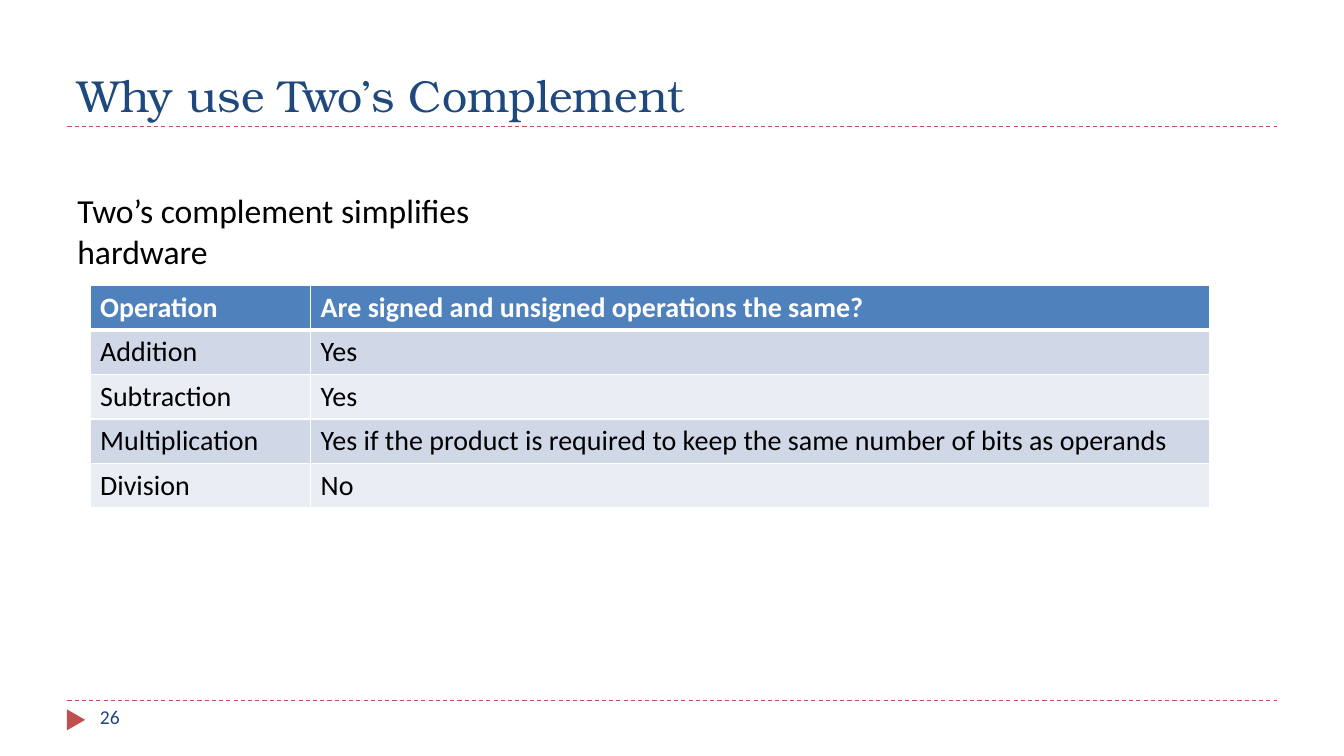
from lxml import etree
from pptx import Presentation
from pptx.dml.color import RGBColor
from pptx.enum.dml import MSO_LINE
from pptx.enum.shapes import MSO_CONNECTOR, MSO_SHAPE
from pptx.enum.text import MSO_ANCHOR, MSO_AUTO_SIZE, PP_ALIGN
from pptx.oxml.ns import qn
from pptx.util import Cm, Pt

DASH = MSO_LINE.DASH
STRAIGHT = MSO_CONNECTOR.STRAIGHT
TRIANGLE = MSO_SHAPE.ISOSCELES_TRIANGLE
BOTTOM = MSO_ANCHOR.BOTTOM
NO_FIT = MSO_AUTO_SIZE.NONE
LEFT = PP_ALIGN.LEFT

COLORS = {
    "navy": "1F497D", "red": "C0504D", "blue": "4F81BD", "white": "FFFFFF",
    "black": "000000", "band": "D0D8E8", "pale": "E9EDF4",
}
BODY = "Calibri"
HEAD = "TeX Gyre Bonum"
MARGIN, WIDTH = 1.7, 30.48
COLS = (5.56, 22.66)
ROW = 1.12
ROWS = [
    ("Operation", "Are signed and unsigned operations the same?"),
    ("Addition", "Yes"),
    ("Subtraction", "Yes"),
    ("Multiplication", "Yes if the product is required to keep the same number of bits as operands"),
    ("Division", "No"),
]


def color(name):
    return RGBColor.from_string(COLORS[name])


def write(frame, text, size, tint, font=BODY, bold=False):
    frame.text = text
    para = frame.paragraphs[0]
    para.alignment = LEFT
    style = para.runs[0].font
    style.name, style.size, style.bold = font, Pt(size), bold
    style.color.rgb = color(tint)


def place(shape, left, top, width, height):
    shape.left, shape.top = Cm(left), Cm(top)
    shape.width, shape.height = Cm(width), Cm(height)


def add_title(slide, text):
    title = slide.shapes.title
    place(title, MARGIN, 0.43, WIDTH, 2.75)
    frame = title.text_frame
    frame.auto_size = NO_FIT
    frame.vertical_anchor = BOTTOM
    write(frame, text, 32, "navy", HEAD)


def add_rule(slide, top):
    rule = slide.shapes.add_connector(
        STRAIGHT, Cm(MARGIN), Cm(top), Cm(MARGIN + WIDTH), Cm(top))
    rule.line.color.rgb = color("red")
    rule.line.width = Pt(0.75)
    rule.line.dash_style = DASH
    etree.SubElement(rule._element.spPr, qn("a:effectLst"))


def add_marker(slide):
    mark = slide.shapes.add_shape(TRIANGLE, Cm(1.65), Cm(17.91), Cm(0.53), Cm(0.46))
    mark.rotation = 90
    mark.shadow.inherit = False
    mark.fill.solid()
    mark.fill.fore_color.rgb = color("red")
    mark.line.fill.background()


def add_text(slide, text, left, top, width, height, size, tint):
    box = slide.shapes.add_textbox(Cm(left), Cm(top), Cm(width), Cm(height))
    box.text_frame.word_wrap = True
    write(box.text_frame, text, size, tint)


def add_edges(cell, base):
    """Draw white cell borders, with the bottom one `base` points wide."""
    props = cell._tc.get_or_add_tcPr()
    for spot, (side, width) in enumerate(
            (("lnL", 1), ("lnR", 1), ("lnT", 1), ("lnB", base))):
        edge = etree.Element(qn(f"a:{side}"), w=str(Pt(width)))
        fill = etree.SubElement(edge, qn("a:solidFill"))
        etree.SubElement(fill, qn("a:srgbClr"), val=COLORS["white"])
        props.insert(spot, edge)


def add_grid(slide):
    grid = slide.shapes.add_table(
        len(ROWS), len(COLS), Cm(2.27), Cm(7.2), Cm(sum(COLS)), Cm(ROW * len(ROWS))).table
    for col, width in zip(grid.columns, COLS):
        col.width = Cm(width)
    for i, texts in enumerate(ROWS):
        grid.rows[i].height = Cm(ROW)
        head = i == 0
        shade = "blue" if head else "band" if i % 2 else "pale"
        for j, text in enumerate(texts):
            cell = grid.cell(i, j)
            cell.fill.solid()
            cell.fill.fore_color.rgb = color(shade)
            write(cell.text_frame, text, 20, "white" if head else "black", bold=head)
            add_edges(cell, 3 if head else 1)


def main():
    deck = Presentation()
    deck.slide_width, deck.slide_height = Cm(33.87), Cm(19.05)
    slide = deck.slides.add_slide(deck.slide_layouts[5])
    add_rule(slide, 17.65)
    add_rule(slide, 3.18)
    add_marker(slide)
    add_title(slide, "Why use Two’s Complement")
    add_text(slide, "26", 2.27, 17.65, 7.34, 1.02, 14, "navy")
    add_grid(slide)
    add_text(slide, "Two’s complement simplifies hardware",
             MARGIN, 4.67, 13.5, 1.27, 24, "black")
    deck.save("out.pptx")


if __name__ == "__main__":
    main()
